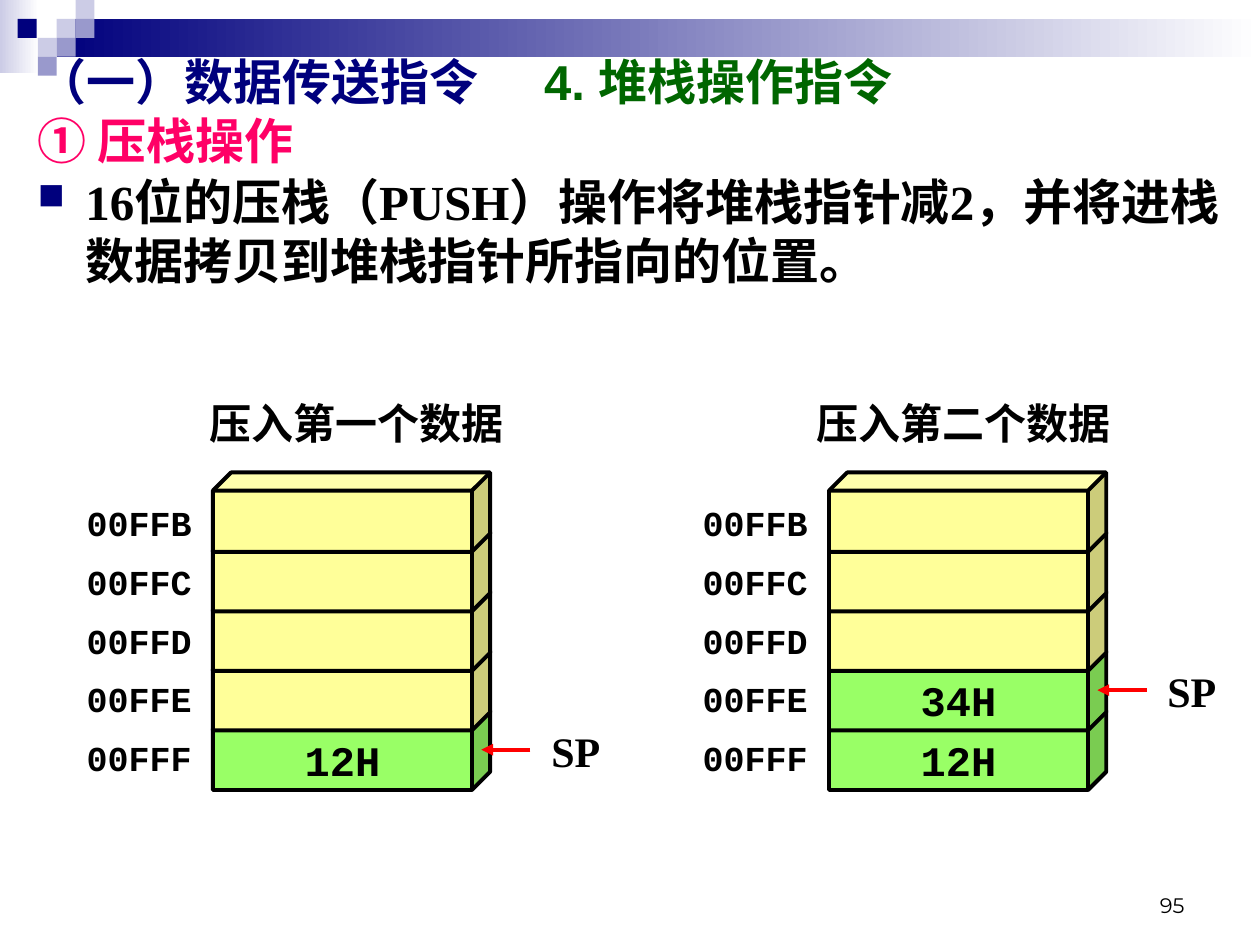
from lxml.etree import SubElement
from pptx import Presentation
from pptx.dml.color import RGBColor
from pptx.enum.shapes import MSO_CONNECTOR, MSO_SHAPE
from pptx.enum.text import MSO_ANCHOR as ANCHOR, PP_ALIGN as ALIGN
from pptx.oxml.ns import qn
from pptx.util import Pt

NAVY = RGBColor(0x00, 0x00, 0x7D)
LAVENDER = RGBColor(0xCC, 0xCC, 0xE6)
PERIWINKLE = RGBColor(0x99, 0x99, 0xCC)
WHITE = RGBColor(0xFF, 0xFF, 0xFF)
BLACK = RGBColor(0x00, 0x00, 0x00)
DARK_GREEN = RGBColor(0x00, 0x66, 0x00)
PINK = RGBColor(0xFF, 0x00, 0x66)
RED = RGBColor(0xFF, 0x00, 0x00)
YELLOW = RGBColor(0xFF, 0xFF, 0x99)
GREEN = RGBColor(0x99, 0xFF, 0x66)

SERIF, MONO, SANS, NUMBER = "Times New Roman", "Courier New", "Arial", "Montserrat"
PX = 9144
ADDRESSES = ["00FFB", "00FFC", "00FFD", "00FFE", "00FFF"]
STACK_GAP = 489
CELL_STEP = 47.25


def px(*lengths):
    return [round(n * PX) for n in lengths]


def write(p, text, font=SERIF, size=24, color=BLACK, bold=True):
    r = p.add_run()
    r.text = text
    r.font.name = font
    r.font.size = Pt(size)
    r.font.bold = bold
    r.font.color.rgb = color


class SlideBuilder:
    line_width = Pt(2.25)

    def __init__(self, slide):
        self.shapes = slide.shapes

    def shape(self, kind, x, y, w, h, fill, fill_end=None):
        sp = self.shapes.add_shape(kind, *px(x, y, w, h))
        sp.shadow.inherit = False
        sp.line.fill.background()
        if fill_end is None:
            sp.fill.solid()
            sp.fill.fore_color.rgb = fill
        else:
            sp.fill.gradient()
            sp.fill.gradient_angle = 0
            for stop, color, position in zip(sp.fill.gradient_stops, (fill, fill_end), (0, 1)):
                stop.color.rgb = color
                stop.position = position
        return sp

    def cell(self, x, y, value):
        sp = self.shape(MSO_SHAPE.CUBE, x, y, 220, 63, GREEN if value else YELLOW)
        sp.adjustments[0] = 0.229
        sp.line.color.rgb = BLACK
        sp.line.width = self.line_width
        if value:
            tf = sp.text_frame
            tf.word_wrap = False
            tf.vertical_anchor = ANCHOR.MIDDLE
            tf.paragraphs[0].alignment = ALIGN.CENTER
            write(tf.paragraphs[0], value, font=MONO)

    def box(self, x, y, w, h, anchor=ANCHOR.MIDDLE, align=ALIGN.CENTER, wrap=False):
        tf = self.shapes.add_textbox(*px(x, y, w, h)).text_frame
        tf.word_wrap = wrap
        tf.vertical_anchor = anchor
        p = tf.paragraphs[0]
        p.alignment = align
        return p

    def label(self, text, x, y, w, h, align=ALIGN.CENTER, **style):
        write(self.box(x, y, w, h, align=align), text, **style)

    def arrow(self, x1, y1, x2, y2):
        line = self.shapes.add_connector(MSO_CONNECTOR.STRAIGHT, *px(x1, y1, x2, y2))
        line.line.color.rgb = RED
        line.line.width = self.line_width
        SubElement(line.line._get_or_add_ln(), qn("a:tailEnd"), type="triangle")
        SubElement(line._element.spPr, qn("a:effectLst"))

    def title(self, section, topic, heading):
        p = self.box(20, 36, 961, 63, ANCHOR.TOP, ALIGN.LEFT, True)
        tabs = SubElement(p._p.get_or_add_pPr(), qn("a:tabLst"))
        SubElement(tabs, qn("a:tab"), pos=str(402 * PX), algn="l")
        write(p, section + "\t", font=SANS, size=28, color=NAVY)
        write(p, topic, font=SANS, size=28, color=DARK_GREEN)
        p.add_line_break()
        write(p, heading, font=SANS, size=28, color=PINK)

    def bullet(self, text):
        p = self.box(20, 131, 961, 181, ANCHOR.TOP, ALIGN.LEFT, True)
        pPr = p._p.get_or_add_pPr()
        pPr.set("marL", str(38 * PX))
        pPr.set("indent", str(-38 * PX))
        SubElement(SubElement(pPr, qn("a:buClr")), qn("a:srgbClr"), val=str(NAVY))
        SubElement(pPr, qn("a:buSzPct"), val="75000")
        SubElement(pPr, qn("a:buChar"), char="■")
        write(p, text, size=28)

    def banner(self):
        self.shape(MSO_SHAPE.RECTANGLE, 0, 0, 31, 58, LAVENDER, WHITE)
        self.shape(MSO_SHAPE.RECTANGLE, 45, 15, 955, 30, NAVY, WHITE)
        for x, y, color in [
            (45, 15, LAVENDER), (60, 0, LAVENDER), (60, 15, PERIWINKLE),
            (30, 30, LAVENDER), (14, 15, NAVY), (45, 30, PERIWINKLE),
            (30, 45, PERIWINKLE),
        ]:
            self.shape(MSO_SHAPE.RECTANGLE, x, y, 15, 15, color)

    def stack(self, left, caption, caption_x, values):
        for row in reversed(range(len(ADDRESSES))):
            self.cell(left + 169, 375 + CELL_STEP * row, values.get(ADDRESSES[row]))
        top = min(ADDRESSES.index(address) for address in values)
        pointer_y = 406 + CELL_STEP * top
        self.arrow(left + 421, pointer_y, left + 382, pointer_y)
        self.label("SP", left + 414, pointer_y - 23, 86, 47)
        self.label(caption, caption_x, 312, 272, 47)
        for row, address in enumerate(ADDRESSES):
            self.label(address, left + 4, 391 + 46.75 * row, 158, 47,
                       align=ALIGN.RIGHT, font=MONO, size=20)


def main():
    prs = Presentation()
    prs.slide_width, prs.slide_height = px(1000, 750)
    s = SlideBuilder(prs.slides.add_slide(prs.slide_layouts[6]))
    s.banner()
    write(s.box(717, 683, 233, 50, ANCHOR.BOTTOM, ALIGN.RIGHT, True), "95",
          font=NUMBER, size=12, bold=False)
    s.bullet("16位的压栈（PUSH）操作将堆栈指针减2，并将进栈数据拷贝到堆栈指针所指向的位置。")
    s.stack(0, "压入第一个数据", 147, {"00FFF": "12H"})
    s.stack(STACK_GAP, "压入第二个数据", 629, {"00FFE": "34H", "00FFF": "12H"})
    s.title("（一）数据传送指令", "4. 堆栈操作指令", "① 压栈操作")
    prs.save("out.pptx")


if __name__ == "__main__":
    main()
